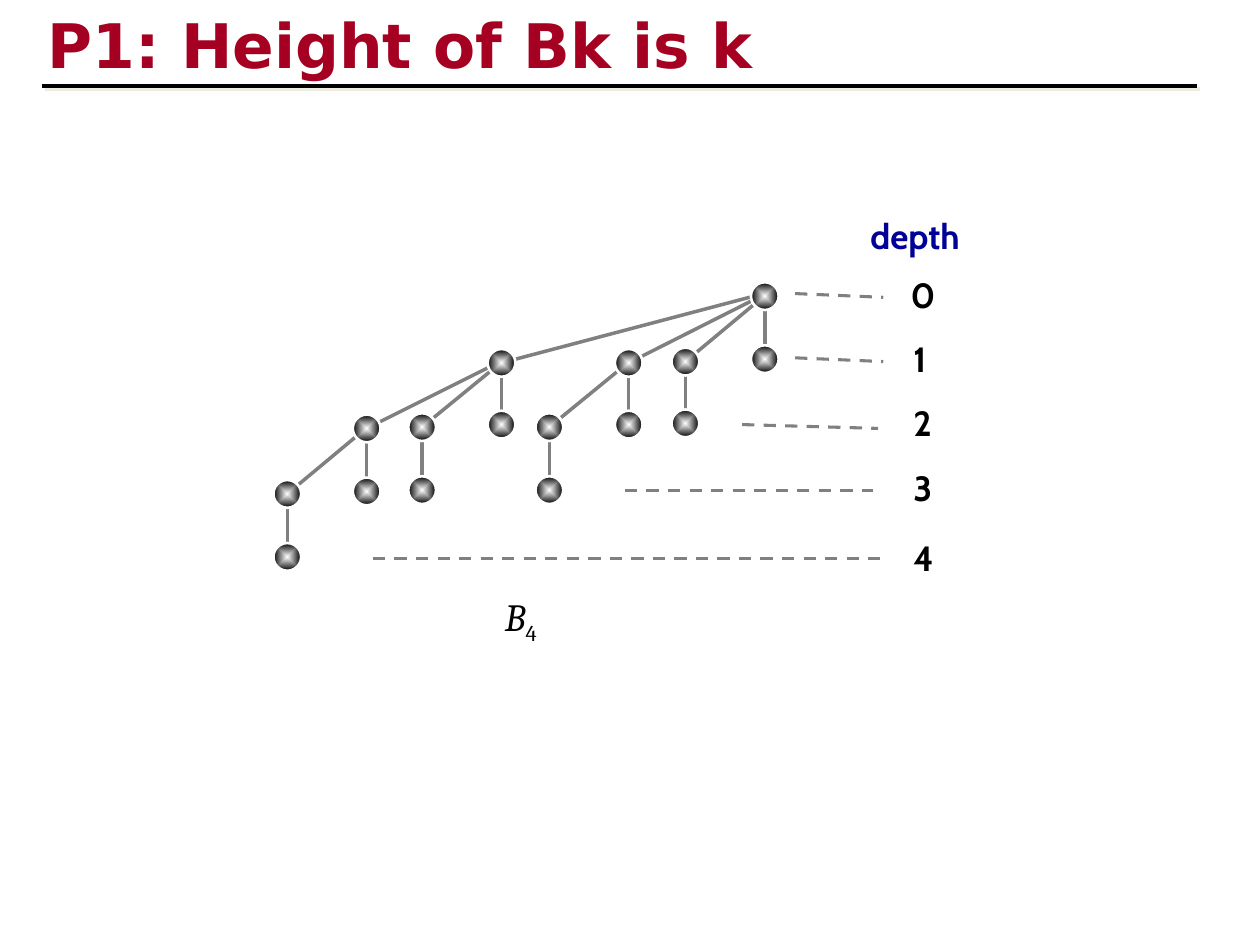
from lxml import etree
from pptx import Presentation
from pptx.dml.color import RGBColor
from pptx.enum.dml import MSO_LINE
from pptx.enum.shapes import MSO_CONNECTOR, MSO_SHAPE
from pptx.enum.text import MSO_ANCHOR, PP_ALIGN
from pptx.oxml import parse_xml
from pptx.oxml.ns import nsdecls, qn
from pptx.util import Inches, Pt

COLORS = {"title": "A50021", "black": "000000", "white": "FFFFFF",
          "gray": "808080", "blue": "000099", "shadow": "EEECE1"}
SHADOW = (f'<a:effectLst {nsdecls("a")}><a:outerShdw dist="35560" dir="2700000" algn="ctr" '
          f'rotWithShape="0"><a:srgbClr val="{COLORS["shadow"]}"/></a:outerShdw></a:effectLst>')
SPHERE = (f'<a:gradFill {nsdecls("a")} rotWithShape="1"><a:gsLst>'
          f'<a:gs pos="0"><a:srgbClr val="{COLORS["white"]}"/></a:gs>'
          f'<a:gs pos="100000"><a:srgbClr val="{COLORS["black"]}"/></a:gs></a:gsLst>'
          '<a:path path="shape"><a:fillToRect l="50000" t="50000" r="50000" b="50000"/></a:path>'
          '</a:gradFill>')

deck = Presentation()
deck.slide_width, deck.slide_height = Inches(10), Inches(7.5)
page = deck.slides.add_slide(deck.slide_layouts[5])


def add_line(x1, y1, x2, y2, color, width, dashed=False):
    line = page.shapes.add_connector(MSO_CONNECTOR.STRAIGHT, Inches(x1), Inches(y1),
                                     Inches(x2), Inches(y2))
    line.line.color.rgb = RGBColor.from_string(COLORS[color])
    line.line.width = Pt(width)
    if dashed:
        line.line.dash_style = MSO_LINE.DASH
    etree.SubElement(line._element.spPr, qn("a:effectLst"))
    return line


def add_label(left, top, width, height, text, size, font, color):
    box = page.shapes.add_textbox(Inches(left), Inches(top), Inches(width), Inches(height))
    box.text_frame.word_wrap = True
    para = box.text_frame.paragraphs[0]
    para.text = text
    span = para.runs[0]
    span.font.size, span.font.name = Pt(size), font
    span.font.color.rgb = RGBColor.from_string(COLORS[color])
    return para


# Title with its shadow
title = page.shapes.title
title.left, title.top, title.width, title.height = (Inches(v) for v in (0.28, 0.01, 8.5, 0.67))
title.text_frame.text = "P1: Height of Bk is k"
title.text_frame.vertical_anchor = MSO_ANCHOR.MIDDLE
para = title.text_frame.paragraphs[0]
para.alignment = PP_ALIGN.LEFT
span = para.runs[0]
span.font.size, span.font.bold = Pt(35.1), True
span.font.color.rgb = RGBColor.from_string(COLORS["title"])
span._r.get_or_add_rPr().append(parse_xml(SHADOW))
span.font.name = "DejaVu Sans"

# Rule under the title
rule = add_line(0.33, 0.68, 9.5, 0.68, "black", 2.25)
properties = rule._element.spPr
properties.replace(properties.find(qn("a:effectLst")), parse_xml(SHADOW))

# Binomial tree: centre of each node and index of its parent
nodes = [(6.07, 2.35, None),
         (3.98, 2.88, 0), (4.99, 2.88, 0), (5.44, 2.87, 0), (6.07, 2.85, 0),
         (2.91, 3.4, 1), (3.35, 3.39, 1), (3.98, 3.37, 1),
         (4.36, 3.39, 2), (4.99, 3.37, 2), (5.44, 3.36, 3),
         (2.28, 3.92, 5), (2.91, 3.9, 5), (3.35, 3.89, 6), (4.36, 3.89, 8),
         (2.28, 4.42, 11)]
DIAMETER = 0.22

# Edges lie behind the nodes; slanted ones end just above the parent's centre
for x, y, parent in nodes:
    if parent is not None:
        parent_x, parent_y, _ = nodes[parent]
        shift = 0.03 if x != parent_x else 0
        add_line(x, y, parent_x + shift, parent_y - shift, "gray", 2)

for x, y, _ in nodes:
    node = page.shapes.add_shape(MSO_SHAPE.OVAL, Inches(x - DIAMETER / 2),
                                 Inches(y - DIAMETER / 2), Inches(DIAMETER), Inches(DIAMETER))
    node.shadow.inherit = False
    node._element.spPr.insert(2, parse_xml(SPHERE))
    node.line.color.rgb = RGBColor.from_string(COLORS["white"])
    node.line.width = Pt(1.5)

# Name of the tree
para = add_label(3.91, 4.66, 0.57, 0.47, "B", 22, "Cambria", "black")
para.runs[0].font.italic = True
subscript = para.add_run()
subscript.text = "4"
subscript.font.size, subscript.font.name = Pt(22), "Cambria"
subscript.font.color.rgb = RGBColor.from_string(COLORS["black"])
subscript._r.get_or_add_rPr().set("baseline", "-25000")

# Depth scale: label position, then ends of the dashed guide
add_label(6.81, 1.65, 1.07, 0.44, "depth", 20, "Cabin", "blue").runs[0].font.bold = True
levels = [(7.13, 2.12, (6.31, 2.33, 7.01, 2.36)),
          (7.15, 2.63, (6.31, 2.84, 7.01, 2.87)),
          (7.15, 3.14, (5.89, 3.37, 6.97, 3.4)),
          (7.15, 3.65, (4.96, 3.89, 6.93, 3.89)),
          (7.15, 4.21, (2.96, 4.43, 7.01, 4.43))]
for depth, (left, top, guide) in enumerate(levels):
    label = add_label(left, top, 0.57, 0.44, str(depth), 20, "Cabin", "black")
    label.runs[0].font.bold = True
    add_line(*guide, "gray", 1.75, dashed=True)

deck.save("out.pptx")
